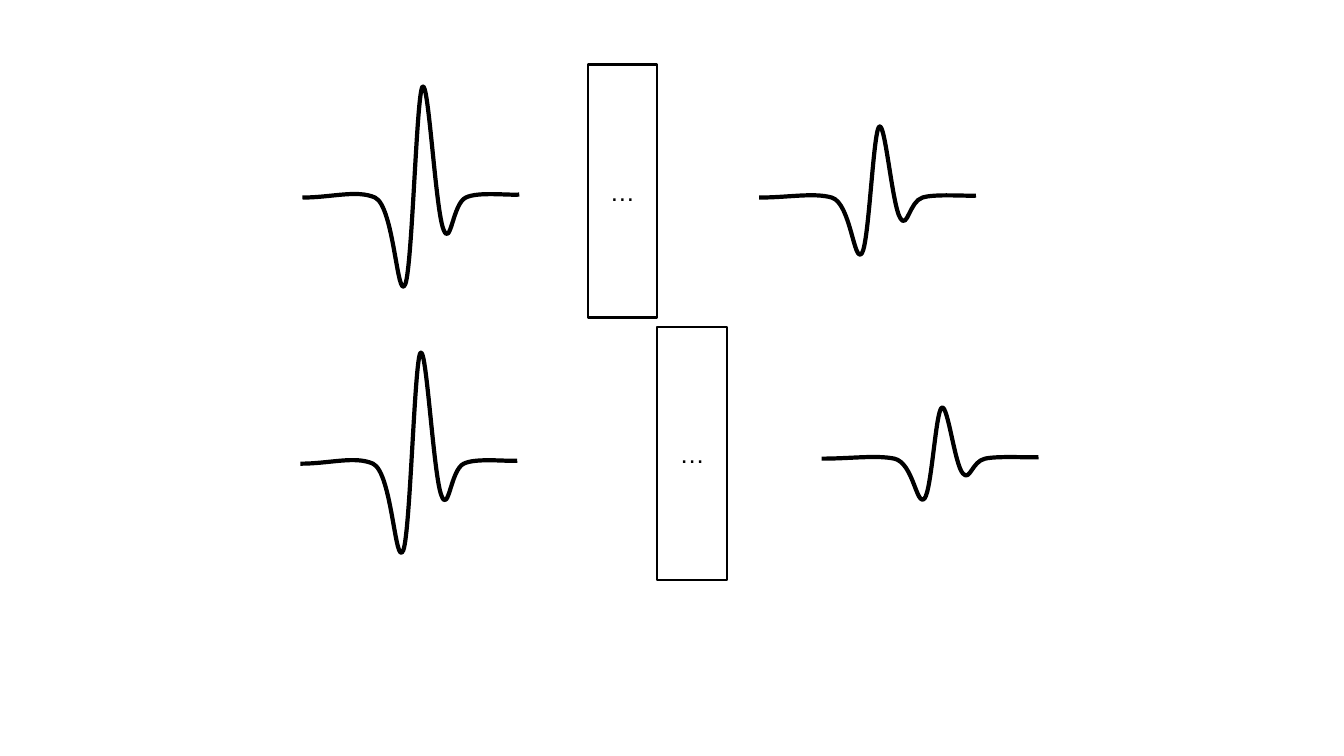
from lxml.etree import Element
from pptx import Presentation
from pptx.dml.color import RGBColor as Rgb
from pptx.enum.shapes import MSO_SHAPE as Shape
from pptx.enum.text import MSO_ANCHOR as Anchor, PP_ALIGN as Align
from pptx.oxml.ns import qn
from pptx.util import Pt

EMU_PER_PX = 9144
PAGE_SIZE = (1333, 750)
WALL_SIZE = (69, 251)
COLORS = {"ink": "000000", "paper": "FFFFFF"}
PULSE_HEIGHT = 199
PULSE = [
    [(29, 0), (54, -8), (72, 0)],
    [(91, 9), (94, 105), (102, 86)],
    [(109, 68), (113, -101), (119, -110)],
    [(125, -119), (132, 14), (140, 32)],
    [(147, 50), (149, 6), (162, 0)],
    [(174, -6), (205, -2), (215, -3)],
]
ROWS = [
    {"incoming": (298, 460), "wall": (652, 324), "outgoing": (815, 455), "gain": 0.46},
    {"incoming": (300, 196), "wall": (583, 64), "outgoing": (753, 196), "gain": 0.64},
]


def emu(px):
    """Turn px into EMU."""
    return round(px * EMU_PER_PX)


def color(name):
    """Look up a colour by its name."""
    return Rgb.from_string(COLORS[name])


def draw_outline(shape, width):
    """Give a shape a plain ink outline."""
    shape.shadow.inherit = False
    shape.line.color.rgb = color("ink")
    shape.line.width = Pt(width)


def bend_segments(freeform, curves):
    """Turn the straight segments of a freeform into cubic curves."""
    segments = freeform._element.iter(qn("a:lnTo"))
    for segment, controls in zip(list(segments), curves):
        segment.tag = qn("a:cubicBezTo")
        for index, (x, y) in enumerate(controls[:2]):
            point = Element(qn("a:pt"), x=str(x - freeform.left), y=str(y - freeform.top))
            segment.insert(index, point)


def set_outline_height(freeform, height):
    """Make a freeform tall enough for its curves, keeping their scale."""
    freeform.height = height
    for outline in freeform._element.iter(qn("a:path")):
        outline.set("h", str(height))


def add_pulse(shapes, start, gain=1):
    """Draw a pulse from its start, with its height scaled by gain."""
    left, base = start
    curves = [[(emu(left + x), emu(base + y * gain)) for x, y in curve] for curve in PULSE]
    builder = shapes.build_freeform(emu(left), emu(base))
    builder.add_line_segments([curve[-1] for curve in curves], close=False)
    pulse = builder.convert_to_shape()
    bend_segments(pulse, curves)
    set_outline_height(pulse, emu(PULSE_HEIGHT * gain))
    pulse.fill.background()
    draw_outline(pulse, 3)


def add_wall(shapes, corner):
    """Draw a wall with an ellipsis at its centre."""
    wall = shapes.add_shape(Shape.RECTANGLE, *map(emu, corner + WALL_SIZE))
    wall.fill.solid()
    wall.fill.fore_color.rgb = color("paper")
    draw_outline(wall, 1.5)
    wall.text_frame.word_wrap = True
    wall.text_frame.vertical_anchor = Anchor.MIDDLE
    para = wall.text_frame.paragraphs[0]
    para.alignment = Align.CENTER
    span = para.add_run()
    span.text = "…"
    span.font.name = "Arial"
    span.font.size = Pt(18)
    span.font.color.rgb = color("ink")


def main():
    """Build the slide of pulses passing through walls."""
    deck = Presentation()
    deck.slide_width, deck.slide_height = map(emu, PAGE_SIZE)
    page = deck.slides.add_slide(deck.slide_layouts[6])
    shapes = page.shapes.add_group_shape().shapes
    for row in ROWS:
        add_pulse(shapes, row["incoming"])
        add_wall(shapes, row["wall"])
        add_pulse(shapes, row["outgoing"], row["gain"])
    deck.save("out.pptx")


if __name__ == "__main__":
    main()
